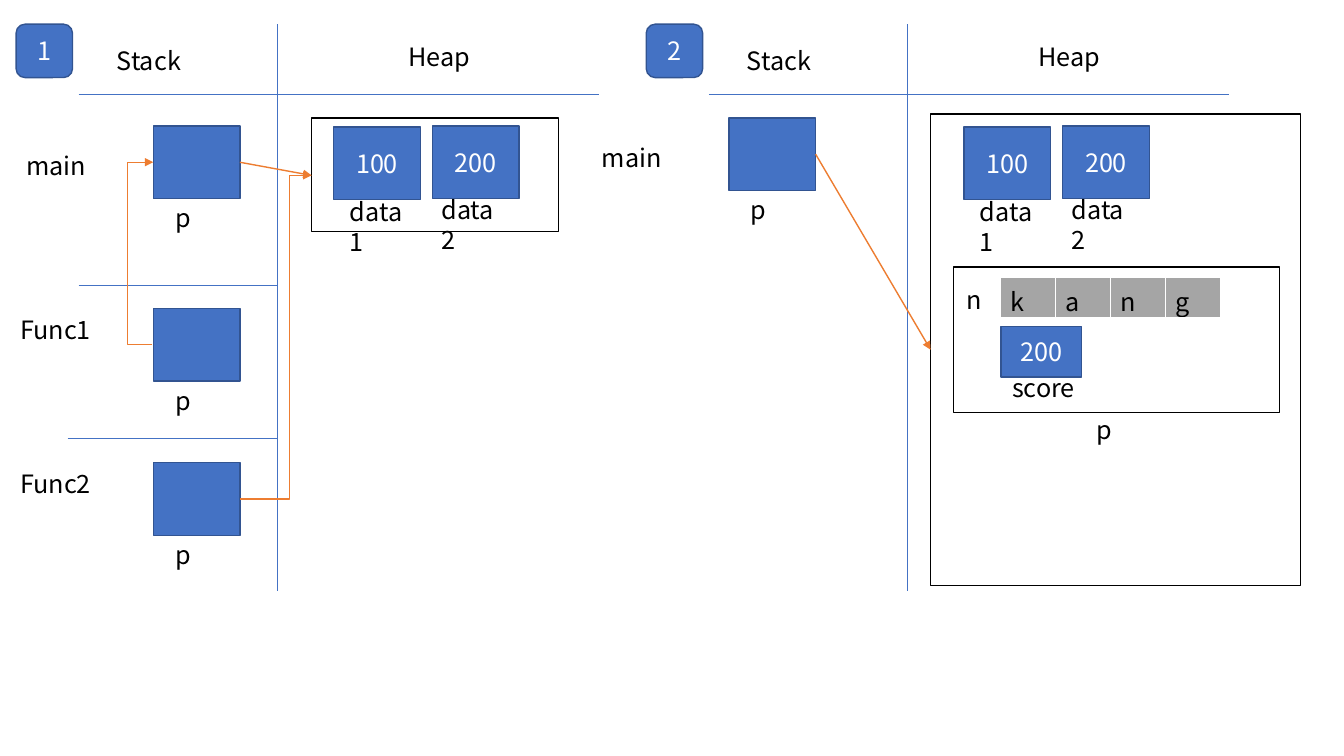
from dataclasses import dataclass
from pptx import Presentation, util as u
from pptx.dml.color import RGBColor
from pptx.enum import shapes, text
from pptx.oxml.ns import qn
from lxml import etree


@dataclass(frozen=True)
class Theme:
    font: str = "Noto Sans CJK KR"
    size: int = 18
    ink: str = "000000"
    paper: str = "FFFFFF"
    blue: str = "4472C4"
    edge: str = "325491"
    flow: str = "ED7D31"
    gray: str = "A5A5A5"


T = Theme()
CELL = (0.86, 0.72)  # width and height of a memory cell


def rgb(code):
    return RGBColor.from_string(code)


def write(frame, words, color=T.ink):
    frame.text = words
    font = frame.paragraphs[0].font
    font.name, font.size = T.font, u.Pt(T.size)
    font.color.rgb = rgb(color)


def child(node, tag, **attrs):
    return etree.SubElement(node, qn(tag), **attrs)


@dataclass
class Pane:
    """Draws on a slide, measured in inches from its top left corner."""
    slide: object
    left: float
    top: float

    def place(self, x, y):
        return u.Inches(self.left + x), u.Inches(self.top + y)

    def label(self, words, x, y, w=0.86):
        box = self.slide.shapes.add_textbox(
            *self.place(x, y), u.Inches(w), u.Inches(0.4))
        box.text_frame.word_wrap = True
        box.text_frame.auto_size = text.MSO_AUTO_SIZE.SHAPE_TO_FIT_TEXT
        write(box.text_frame, words)

    def block(self, x, y, w, h, words="", fill=T.blue, edge=T.edge,
              kind=shapes.MSO_SHAPE.RECTANGLE):
        box = self.slide.shapes.add_shape(
            kind, *self.place(x, y), u.Inches(w), u.Inches(h))
        box.shadow.inherit = False
        box.fill.solid()
        box.fill.fore_color.rgb = rgb(fill)
        box.line.color.rgb = rgb(edge)
        box.line.width = u.Pt(1)
        if words:
            write(box.text_frame, words, T.paper)
            box.text_frame.vertical_anchor = text.MSO_ANCHOR.MIDDLE
            box.text_frame.paragraphs[0].alignment = text.PP_ALIGN.CENTER

    def frame(self, x, y, w, h):
        self.block(x, y, w, h, fill=T.paper, edge=T.ink)

    def line(self, start, end, color=T.blue, width=0.5,
             kind=shapes.MSO_CONNECTOR.STRAIGHT):
        link = self.slide.shapes.add_connector(
            kind, *self.place(*start), *self.place(*end))
        link.line.color.rgb = rgb(color)
        link.line.width = u.Pt(width)
        child(link._element.spPr, "a:effectLst")
        return link

    def arrow(self, start, end, bend=None):
        kind = shapes.MSO_CONNECTOR
        link = self.line(start, end, T.flow, 1,
                         kind.STRAIGHT if bend is None else kind.ELBOW)
        child(link.line._get_or_add_ln(), "a:tailEnd", type="triangle")
        if bend is not None:  # x of the upright part, as share of the width
            share = (bend - start[0]) / (end[0] - start[0])
            guides = link._element.spPr.find(qn("a:prstGeom")).get_or_add_avLst()
            child(guides, "a:gd", name="adj1", fmla=f"val {round(share * 100000)}")


def grid(pane, tag):
    """Number, headings and axes of one panel."""
    pane.block(0, 0, 0.56, 0.53, tag, kind=shapes.MSO_SHAPE.ROUNDED_RECTANGLE)
    pane.label("Stack", 0.9, 0.16)
    pane.label("Heap", 3.79, 0.12)
    pane.line((0.62, 0.7), (5.78, 0.7))
    pane.line((2.59, 0), (2.59, 5.62))


def pointer(pane, name, x, y, pad):
    """Stack cell p with the name of its function on the left."""
    pane.label(name, x - 1.36 - pad, y + 0.19 - pad * 3, 0.86 + pad)
    pane.block(x, y, *CELL)
    pane.label("p", x + 0.12, y + 0.71, 0.43)


def pair(pane):
    """The two heap cells and their names."""
    for i, (name, value) in enumerate((("data1", "100"), ("data2", "200"))):
        pane.label(name, 3.21 + 0.91 * i, 1.66 - 0.02 * i, 0.85)
        pane.block(3.15 + 0.98 * i, 1.02 - 0.01 * i, *CELL, value)


def letters(pane, word, x, y, w, h):
    """Array of characters as a one-row table."""
    table = pane.slide.shapes.add_table(
        1, len(word), *pane.place(x, y), u.Inches(w), u.Inches(h)).table
    table.first_row = table.horz_banding = False
    for cell, letter in zip(table.iter_cells(), word):
        props = cell._tc.get_or_add_tcPr()
        for side, width in (("L", 1), ("R", 1), ("T", 1), ("B", 3)):
            edge = child(props, f"a:ln{side}", w=str(u.Pt(width)))
            child(child(edge, "a:solidFill"), "a:srgbClr", val=T.paper)
        cell.fill.solid()
        cell.fill.fore_color.rgb = rgb(T.gray)
        write(cell.text_frame, letter)


def calls(pane):
    """Panel 1: three stack frames share one heap object."""
    grid(pane, "1")
    goal = (2.93, 1.5)
    for name, y, pad in (("main", 1.01, 0), ("Func1", 2.82, 0.06),
                         ("Func2", 4.35, 0.06)):
        pointer(pane, name, 1.36, y, pad)
    pane.line((0.62, 2.59), (2.59, 2.59))
    pane.line((0.51, 4.11), (2.59, 4.11))
    pane.frame(2.93, 0.93, 2.45, 1.13)
    pair(pane)
    pane.arrow((2.22, 1.37), goal)
    pane.arrow((1.35, 3.18), (1.36, 1.37), bend=1.1)
    pane.arrow((2.22, 4.71), goal, bend=2.71)


def nested(pane):
    """Panel 2: the heap object holds another object p."""
    grid(pane, "2")
    pointer(pane, "main", 0.82, 0.93, 0)
    pane.frame(2.82, 0.89, 3.67, 4.68)
    pane.arrow((1.68, 1.29), (2.82, 3.23))
    pair(pane)
    # Inner object with its name and score
    pane.frame(3.05, 2.41, 3.23, 1.44)
    pane.label("p", 4.37, 3.82, 0.43)
    letters(pane, "kang", 3.51, 2.51, 2.19, 0.41)
    pane.label("n", 3.08, 2.53, 0.43)
    pane.label("score", 3.53, 3.4, 0.85)
    pane.block(3.52, 3, 0.8, 0.5, "200")


def main():
    deck = Presentation()
    deck.slide_width, deck.slide_height = u.Inches(13.33), u.Inches(7.5)
    slide = deck.slides.add_slide(deck.slide_layouts[6])
    calls(Pane(slide, 0.16, 0.24))
    nested(Pane(slide, 6.41, 0.24))
    deck.save("out.pptx")


if __name__ == "__main__":
    main()
